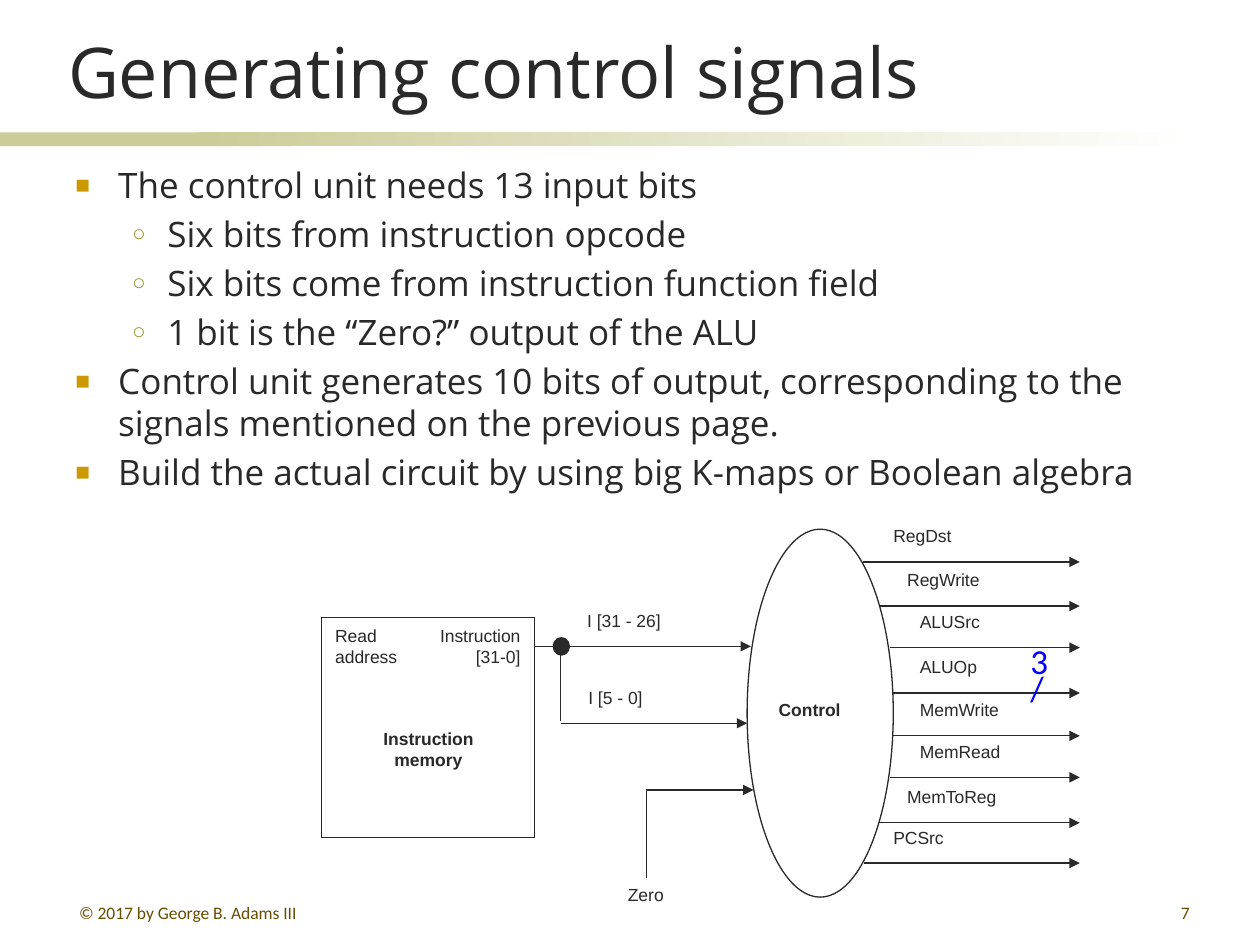
from lxml import etree
from pptx import Presentation
from pptx import util as u
from pptx.dml import color
from pptx.enum import shapes, text
from pptx.oxml import ns

INK, BLUE, BROWN, KHAKI = "292929", "0000FF", "664D00", "CCCC99"
LEFT, CENTER, RIGHT = text.PP_ALIGN.LEFT, text.PP_ALIGN.CENTER, text.PP_ALIGN.RIGHT
LABEL_HEIGHT, SIGNAL_END, SIGNAL_RISE = 0.39, 8.57, 0.35
BULLETS = [(0.34, 0.34, "■", "CC9900", 70), (0.73, 0.28, "○", "999933", 65)]
POINTS = [
    (0, "The control unit needs 13 input bits"),
    (1, "Six bits from instruction opcode"),
    (1, "Six bits come from instruction function field"),
    (1, "1 bit is the “Zero?” output of the ALU"),
    (0, "Control unit generates 10 bits of output, corresponding to the "
        "signals mentioned on the previous page."),
    (0, "Build the actual circuit by using big K-maps or Boolean algebra"),
]
SIGNALS = [
    ("RegDst", 6.98, 6.85, 4.46),
    ("RegWrite", 7.09, 6.98, 4.81),
    ("ALUSrc", 7.19, 7.06, 5.14),
    ("ALUOp", 7.19, 7.09, 5.5),
    ("MemWrite", 7.19, 7.09, 5.84),
    ("MemRead", 7.19, 7.06, 6.17),
    ("MemToReg", 7.09, 6.98, 6.53),
    ("PCSrc", 6.98, 6.86, 6.85),
]


def rgb(value):
    """Turn a hex string into a colour."""
    return color.RGBColor.from_string(value)


def inches(*lengths):
    """Turn several numbers into lengths."""
    return [u.Inches(length) for length in lengths]


def add_run(paragraph, words, size, font, ink, bold=False):
    """Add one formatted run to a paragraph."""
    run = paragraph.add_run()
    run.text = words
    run.font.size = u.Pt(size)
    run.font.name = font
    run.font.bold = bold
    run.font.color.rgb = rgb(ink)


def add_text(slide, box, lines, size=10, font="Arial", ink=INK, bold=False,
             align=LEFT, insets=(0.11, 0.06), spacing=None):
    """Add a text box with one paragraph for each line."""
    frame = slide.shapes.add_textbox(*inches(*box)).text_frame
    frame.word_wrap = True
    frame.margin_left = frame.margin_right = u.Inches(insets[0])
    frame.margin_top = frame.margin_bottom = u.Inches(insets[1])
    for index, line in enumerate(lines):
        paragraph = frame.add_paragraph() if index else frame.paragraphs[0]
        paragraph.alignment = align
        if spacing:
            paragraph.line_spacing = u.Pt(spacing)
        add_run(paragraph, line, size, font, ink, bold)
    return frame


def add_shape(slide, kind, box, fill=None, line=None, width=0.75):
    """Add a preset shape with a plain fill and outline."""
    shape = slide.shapes.add_shape(kind, *inches(*box))
    shape.shadow.inherit = False
    if fill:
        shape.fill.solid()
        shape.fill.fore_color.rgb = rgb(fill)
    else:
        shape.fill.background()
    if line:
        shape.line.color.rgb = rgb(line)
        shape.line.width = u.Pt(width)
    else:
        shape.line.fill.background()
    return shape


def add_line(slide, start, end, arrow=True):
    """Add a straight wire, with an arrowhead if wanted."""
    wire = slide.shapes.add_connector(
        shapes.MSO_CONNECTOR.STRAIGHT, *inches(*start, *end))
    wire.line.color.rgb = rgb(INK)
    wire.line.width = u.Pt(0.75)
    if arrow:
        etree.SubElement(wire.line._get_or_add_ln(), ns.qn("a:tailEnd"), type="triangle")
    etree.SubElement(wire._element.spPr, ns.qn("a:effectLst"))


def add_bullet(paragraph, level):
    """Give a paragraph the indent and bullet of its level."""
    margin, hanging, mark, ink, size = BULLETS[level]
    paragraph.level = level
    paragraph.space_before = u.Pt(4)
    properties = paragraph._p.get_or_add_pPr()
    properties.set("marL", str(u.Inches(margin)))
    properties.set("indent", str(-u.Inches(hanging)))
    holder = etree.SubElement(properties, ns.qn("a:buClr"))
    etree.SubElement(holder, ns.qn("a:srgbClr"), val=ink)
    etree.SubElement(properties, ns.qn("a:buSzPct"), val=str(size * 1000))
    etree.SubElement(properties, ns.qn("a:buFont"), typeface="Arial")
    etree.SubElement(properties, ns.qn("a:buChar"), char=mark)


def add_band(slide):
    """Draw the fading band under the title."""
    rectangle = shapes.MSO_SHAPE.RECTANGLE
    add_shape(slide, rectangle, (0, 1.05, 2.33, 0.11), KHAKI)
    fade = add_shape(slide, rectangle, (1.58, 1.05, 7.92, 0.11))
    fade.fill.gradient()
    fade.fill.gradient_angle = 0
    for stop, ink in zip(fade.fill.gradient_stops, (KHAKI, "FFFFFF")):
        stop.color.rgb = rgb(ink)


def add_title(slide, words):
    """Place and format the title placeholder."""
    title = slide.shapes.title
    title.left, title.top, title.width, title.height = inches(0.44, 0.13, 9, 0.81)
    frame = title.text_frame
    frame.auto_size = text.MSO_AUTO_SIZE.NONE
    frame.vertical_anchor = text.MSO_ANCHOR.BOTTOM
    frame.paragraphs[0].alignment = LEFT
    add_run(frame.paragraphs[0], words, 40, "Open Sans", INK)


def add_points(slide):
    """Add the bulleted text."""
    frame = add_text(slide, (0.5, 1.25, 9, 2.75), [words for _, words in POINTS],
                     20, "Open Sans", insets=(0.1, 0.05))
    for paragraph, (level, _) in zip(frame.paragraphs, POINTS):
        add_bullet(paragraph, level)


def add_memory(slide):
    """Draw the instruction memory."""
    add_shape(slide, shapes.MSO_SHAPE.RECTANGLE, (2.55, 4.9, 1.69, 1.75), line=INK)
    add_text(slide, (2.55, 4.9, 0.92, 0.63), ["Read", "address"])
    add_text(slide, (3.13, 4.9, 1.11, 0.63), ["Instruction", "[31-0]"], align=RIGHT)
    add_text(slide, (2.8, 5.72, 1.2, 0.63), ["Instruction", "memory"],
             bold=True, align=CENTER)


def add_control(slide):
    """Draw the control unit with its inputs and outputs."""
    oval = shapes.MSO_SHAPE.OVAL
    add_shape(slide, oval, (5.93, 4.2, 1.16, 2.92), line=INK)
    add_text(slide, (6.07, 5.49, 0.97, LABEL_HEIGHT), ["Control"], bold=True)
    add_line(slide, (4.24, 5.13), (5.96, 5.13))
    add_line(slide, (4.45, 5.13), (4.45, 5.72), arrow=False)
    add_line(slide, (4.45, 5.74), (5.93, 5.74))
    add_shape(slide, oval, (4.4, 5.07, 0.11, 0.12), INK, INK, 2)
    add_text(slide, (4.55, 4.78, 1.04, LABEL_HEIGHT), ["I [31 - 26]"])
    add_text(slide, (4.56, 5.39, 0.84, LABEL_HEIGHT), ["I [5 - 0]"])
    add_line(slide, (5.13, 6.27), (5.13, 6.97), arrow=False)
    add_line(slide, (5.13, 6.27), (5.98, 6.27))
    add_text(slide, (4.8, 6.96, 0.65, LABEL_HEIGHT), ["Zero"], align=CENTER)
    for name, label_left, start, level in SIGNALS:
        add_line(slide, (start, level), (SIGNAL_END, level))
        add_text(slide, (label_left, level - SIGNAL_RISE, 1.19, LABEL_HEIGHT), [name])
    add_text(slide, (8.08, 5.14, 0.4, 0.56), ["3", "/"], 20, "Calibri", BLUE,
             insets=(0.1, 0.05), spacing=15.6)


def add_footer(slide):
    """Add the copyright line and the page number."""
    for box, words, align in (
            ((0.53, 7.11, 2.17, 0.21), "© 2017 by George B. Adams III", LEFT),
            ((7.46, 7.11, 2.08, 0.21), "7", RIGHT)):
        add_text(slide, box, [words], 10, "Calibri", BROWN, align=align,
                 insets=(0.1, 0.05))


def main():
    """Build and save the slide."""
    presentation = Presentation()
    presentation.slide_width, presentation.slide_height = inches(10, 7.5)
    slide = presentation.slides.add_slide(presentation.slide_layouts[5])
    add_band(slide)
    add_title(slide, "Generating control signals")
    add_points(slide)
    add_memory(slide)
    add_control(slide)
    add_footer(slide)
    presentation.save("out.pptx")


main()
